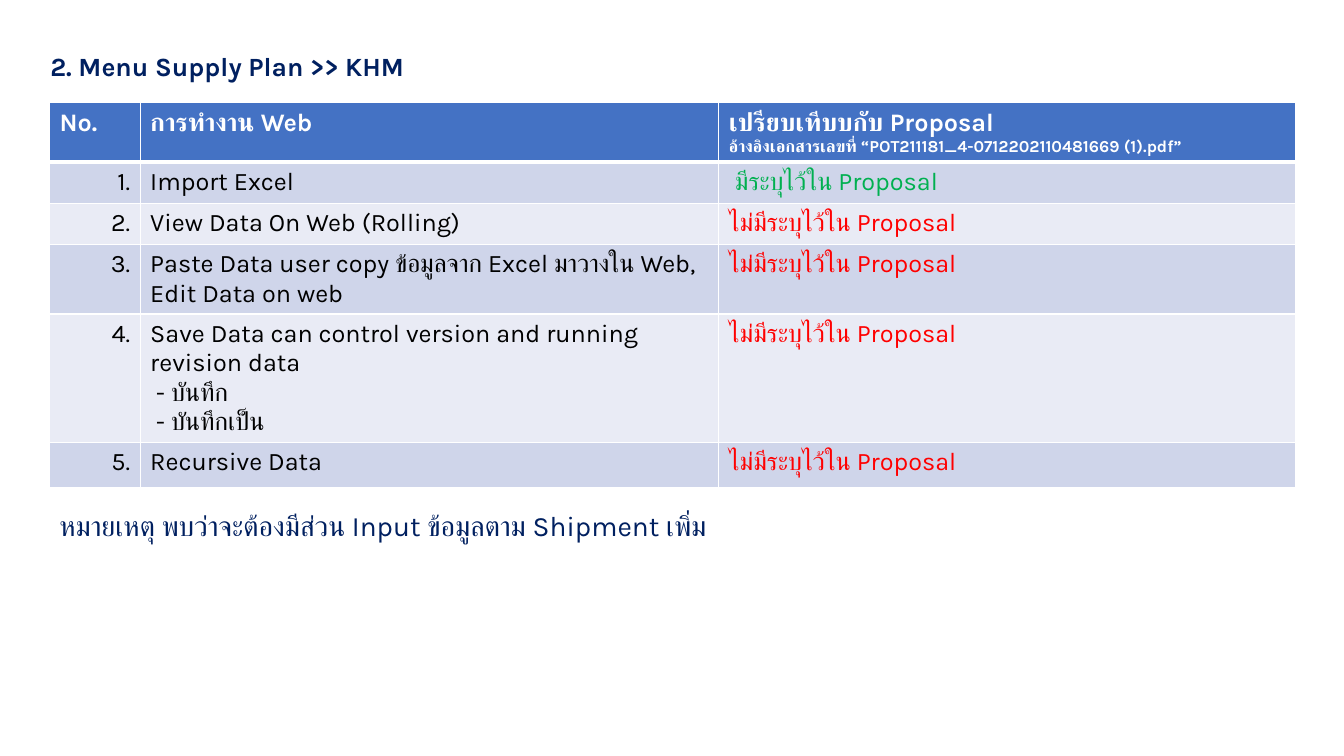
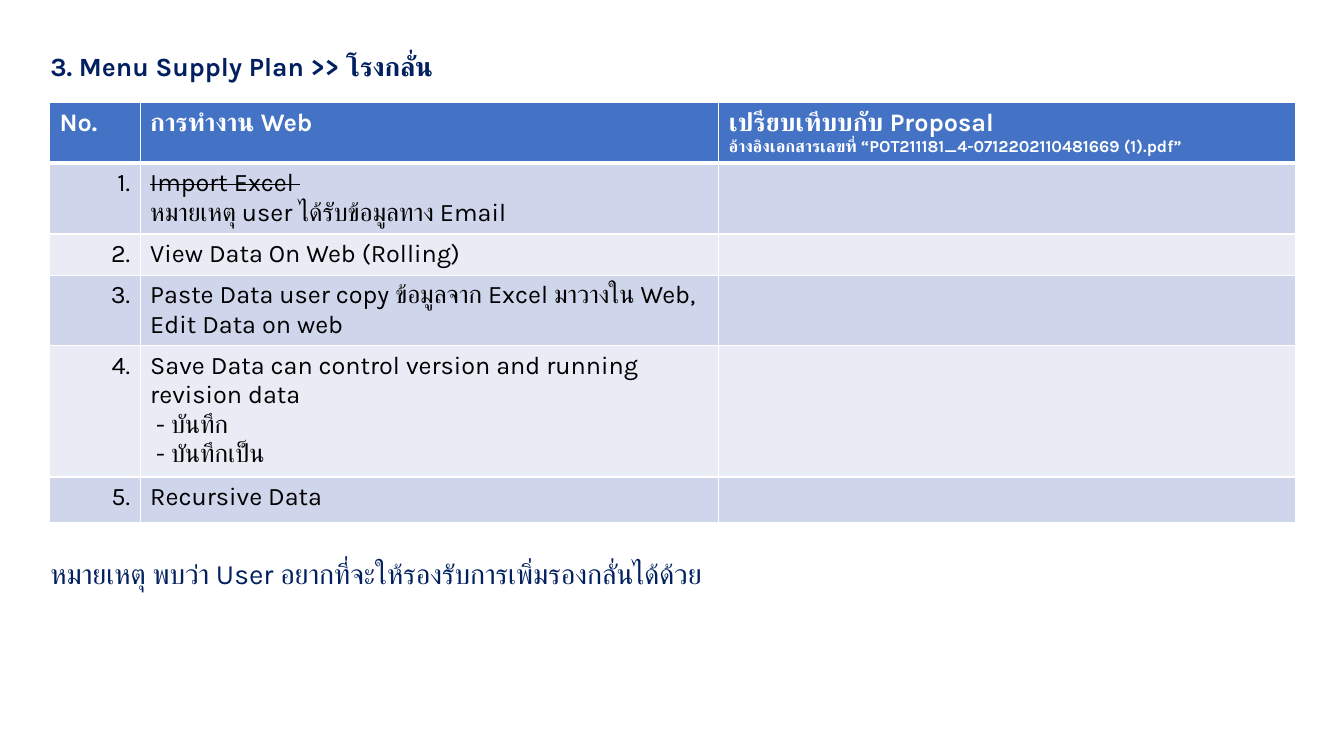
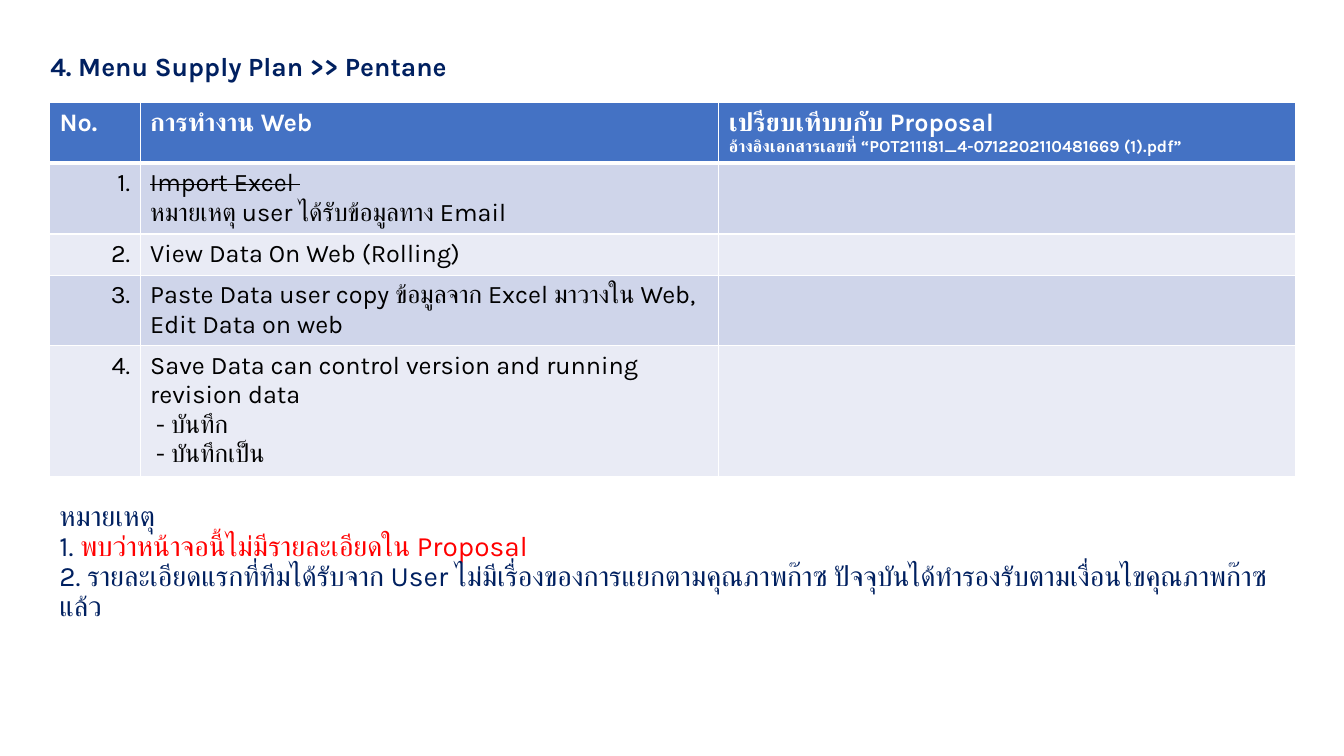
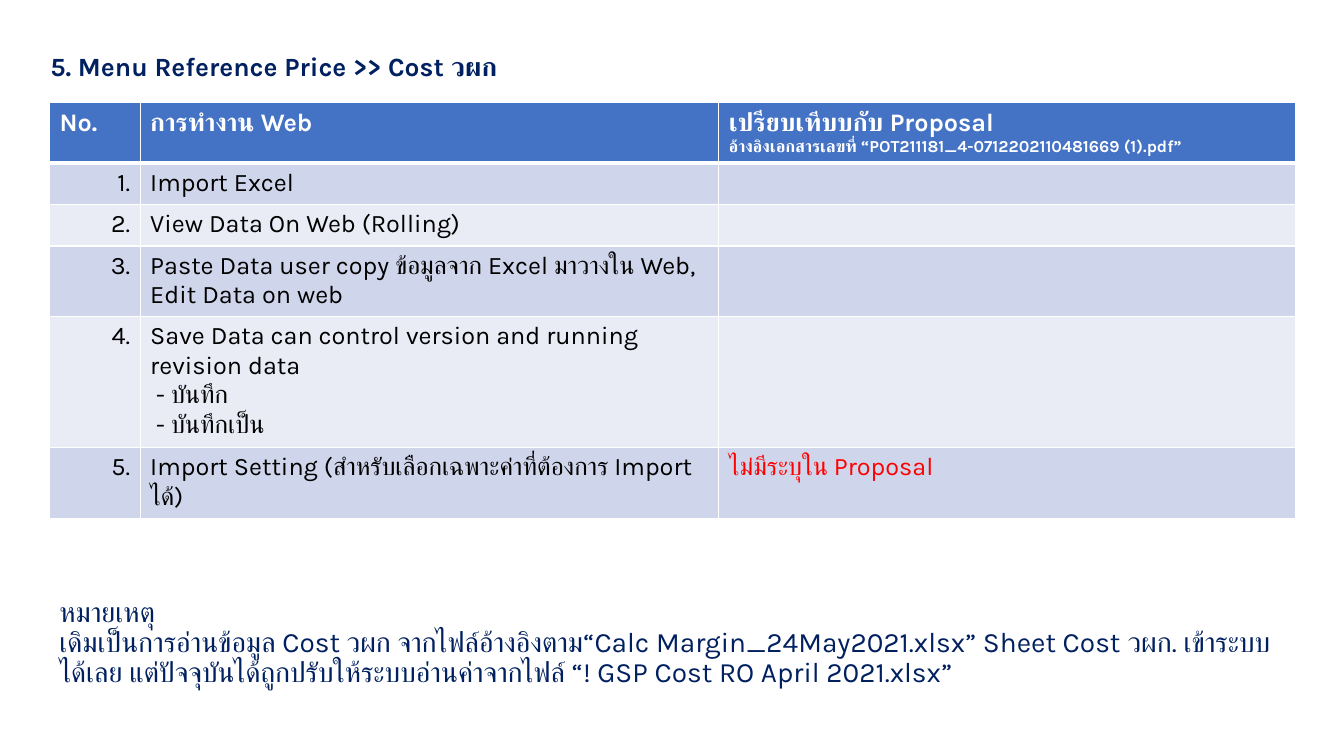
"""Build the four slides that compare web functions with the proposal."""
from dataclasses import dataclass

from lxml import etree
from pptx import Presentation, util as u
from pptx.dml.color import RGBColor
from pptx.enum import text
from pptx.oxml import ns


@dataclass(frozen=True)
class Theme:
    font: str = "Karla"
    navy: str = "002060"
    blue: str = "4472C4"
    bands: tuple = ("CFD5EA", "E9EBF5")
    white: str = "FFFFFF"
    black: str = "000000"
    red: str = "FF0000"
    green: str = "00B050"
    title_size: float = 18.8
    note_size: float = 20
    table_size: float = 18
    reference_size: float = 12
    thin: float = 1
    thick: float = 3


THEME = Theme()
COLUMNS = (0.9, 5.74, 5.72)
ROW, LAST_ROW = 0.41, 0.45
LEFT, TITLE_LEFT = 0.49, 0.4
NARROW, WIDE = 9.95, 12.36


class Deck:
    def __init__(self, theme):
        self.theme = theme
        self.show = Presentation()
        self.show.slide_width, self.show.slide_height = u.Inches(13.33), u.Inches(7.5)
        self.slide = None

    def new_slide(self):
        self.slide = self.show.slides.add_slide(self.show.slide_layouts[6])

    def add_lines(self, frame, lines, look, layout):
        for number, line in enumerate(lines):
            paragraph = frame.paragraphs[0] if number == 0 else frame.add_paragraph()
            for key, value in layout.items():
                setattr(paragraph, key, value)
            for words, changes in [(line, {})] if isinstance(line, str) else line:
                self.add_words(paragraph, words, {**look, **changes})

    def add_words(self, paragraph, words, look):
        run = paragraph.add_run()
        run.text = words
        formats = {"name": self.theme.font, "size": u.Pt(look["size"]), "bold": look.get("bold", False)}
        for key, value in formats.items():
            setattr(run.font, key, value)
        run.font.color.rgb = RGBColor.from_string(look["color"])
        properties = run._r.get_or_add_rPr()
        etree.SubElement(properties, ns.qn("a:cs"), typeface=self.theme.font)
        if look.get("strike"):
            properties.set("strike", "sngStrike")

    def text_box(self, box, lines, look, spacing, bottom=0.05):
        frame = self.slide.shapes.add_textbox(*map(u.Inches, box)).text_frame
        formats = {"word_wrap": True, "vertical_anchor": text.MSO_ANCHOR.BOTTOM,
                   "margin_bottom": u.Inches(bottom)}
        for key, value in formats.items():
            setattr(frame, key, value)
        self.add_lines(frame, lines, look, {"line_spacing": spacing})

    def title(self, words):
        look = {"size": self.theme.title_size, "color": self.theme.navy, "bold": True}
        self.text_box((TITLE_LEFT, 0.47, NARROW, 0.59), [words], look, 0.7, bottom=0.26)

    def note(self, box, lines):
        self.text_box(box, lines, {"size": self.theme.note_size, "color": self.theme.navy}, 0.9)

    def borders(self, cell, widths):
        properties = cell._tc.get_or_add_tcPr()
        for side, width in zip("LRTB", widths):
            edge = etree.SubElement(properties, ns.qn(f"a:ln{side}"), w=str(u.Pt(width)))
            paint = etree.SubElement(edge, ns.qn("a:solidFill"))
            etree.SubElement(paint, ns.qn("a:srgbClr"), val=self.theme.white)

    def table(self, height, header, tasks):
        rows = [header] + [([f"{n}."], *task) for n, task in enumerate(tasks, 1)]
        holder = self.slide.shapes.add_table(
            len(rows), len(COLUMNS), *map(u.Inches, (LEFT, 1.02, WIDE, height)))
        grid = holder.table
        grid.horz_banding = False
        for column, width in zip(grid.columns, COLUMNS):
            column.width = u.Inches(width)
        for index, row in enumerate(rows):
            grid.rows[index].height = u.Inches(LAST_ROW if index == len(rows) - 1 else ROW)
            for place, lines in enumerate(row):
                self.cell(grid.cell(index, place), index, place, lines)
        holder.height = u.Inches(height)

    def cell(self, cell, index, place, lines):
        theme, heading = self.theme, index == 0
        top = theme.thick if index == 1 else theme.thin
        bottom = theme.thick if heading else theme.thin
        self.borders(cell, (theme.thin, theme.thin, top, bottom))
        cell.fill.solid()
        cell.fill.fore_color.rgb = RGBColor.from_string(
            theme.blue if heading else theme.bands[(index - 1) % 2])
        look = {"size": theme.table_size, "bold": heading,
                "color": theme.white if heading else theme.black}
        numbered = place == 0 and not heading
        align = text.PP_ALIGN.RIGHT if numbered else text.PP_ALIGN.LEFT
        self.add_lines(cell.text_frame, lines, look, {"alignment": align})


RED = {"color": THEME.red}
HEADER = (
    ["No."],
    ["การทำงาน Web"],
    ["เปรียบเทีบบกับ Proposal",
     [("อ้างอิงเอกสารเลขที่ “POT211181_4-0712202110481669 (1).pdf”", {"size": THEME.reference_size})]],
)
IMPORT = ["Import Excel"]
IMPORT_DROPPED = [[("Import Excel ", {"strike": True})], "หมายเหตุ user ได้รับข้อมูลทาง Email"]
RECURSIVE = ["Recursive Data"]
SHARED_TASKS = [
    ["View Data On Web (Rolling)"],
    ["Paste Data user copy ข้อมูลจาก Excel มาวางใน Web, Edit Data on web"],
    ["Save Data can control version and running revision data", " - บันทึก", " - บันทึกเป็น"],
]
LISTED = [[(" มีระบุไว้ใน Proposal", {"color": THEME.green})]]
UNLISTED = [[("ไม่มีระบุไว้ใน Proposal", RED)]]
SETTING_UNLISTED = [[("ไม่มีระบุใน Proposal", RED)]]


def tasks(first, last=(), first_verdict=(), shared_verdict=(), last_verdict=()):
    """Pair the functions of one menu with their verdicts."""
    pairs = [(first, first_verdict)] + [(task, shared_verdict) for task in SHARED_TASKS]
    return pairs + ([(last, last_verdict)] if last else [])


MENUS = [
    ("2. Menu Supply Plan >> KHM", 3.86,
     tasks(IMPORT, RECURSIVE, LISTED, UNLISTED, UNLISTED),
     (LEFT, 4.84, NARROW, 0.59),
     ["หมายเหตุ พบว่าจะต้องมีส่วน Input ข้อมูลตาม Shipment เพิ่ม"]),
    ("3. Menu Supply Plan >> โรงกลั่น", 4.15,
     tasks(IMPORT_DROPPED, RECURSIVE),
     (TITLE_LEFT, 5.32, NARROW, 0.59),
     ["หมายเหตุ พบว่า User อยากที่จะให้รองรับการเพิ่มรองกลั่นได้ด้วย"]),
    ("4. Menu Supply Plan >> Pentane", 3.71,
     tasks(IMPORT_DROPPED),
     (LEFT, 4.72, WIDE, 1.51),
     ["หมายเหตุ",
      [("1. ", {}), ("พบว่าหน้าจอนี้ไม่มีรายละเอียดใน Proposal", RED)],
      "2. รายละเอียดแรกที่ทีมได้รับจาก User ไม่มีเรื่องของการแยกตามคุณภาพก๊าซ "
      "ปัจจุบันได้ทำรองรับตามเงื่อนไขคุณภาพก๊าซแล้ว"]),
    ("5. Menu Reference Price >> Cost วผก", 4.11,
     tasks(IMPORT, ["Import Setting (สำหรับเลือกเฉพาะค่าที่ต้องการ Import ได้)"],
           last_verdict=SETTING_UNLISTED),
     (LEFT, 5.37, WIDE, 1.51),
     ["หมายเหตุ",
      "เดิมเป็นการอ่านข้อมูล Cost วผก จากไฟล์อ้างอิงตาม“Calc Margin_24May2021.xlsx” "
      "Sheet Cost วผก. เข้าระบบได้เลย แต่ปัจจุบันได้ถูกปรับให้ระบบอ่านค่าจากไฟล์ "
      "“! GSP Cost RO April 2021.xlsx”"]),
]


def main():
    deck = Deck(THEME)
    for title, height, menu_tasks, note_box, note in MENUS:
        deck.new_slide()
        deck.table(height, HEADER, menu_tasks)
        deck.title(title)
        deck.note(note_box, note)
    deck.show.save("out.pptx")


if __name__ == "__main__":
    main()
